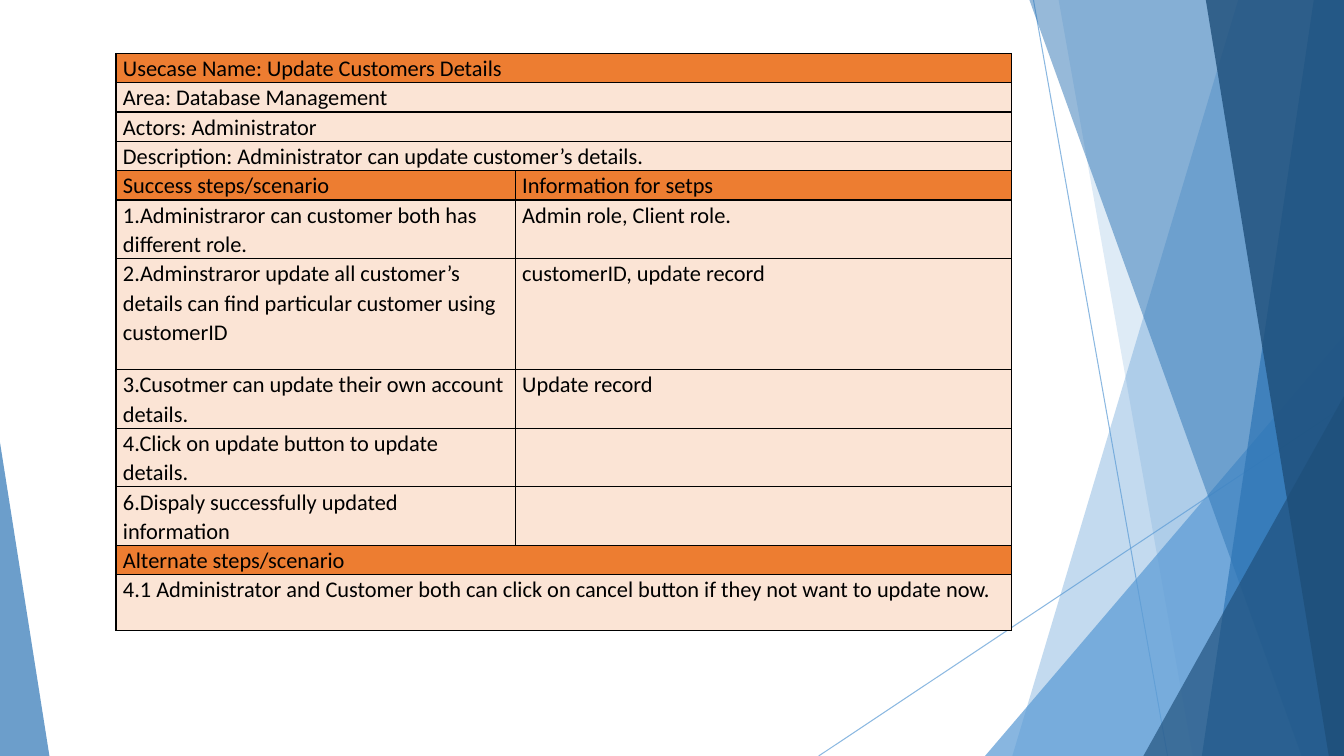
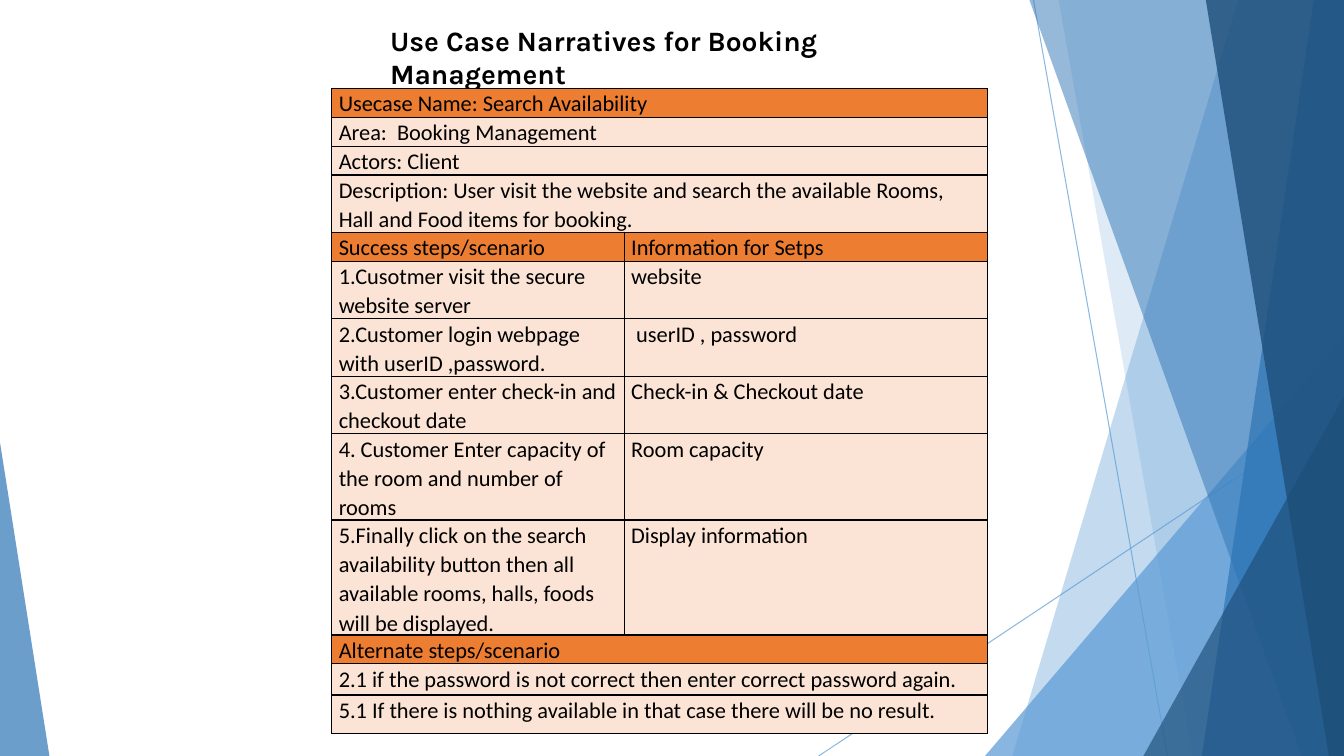
from dataclasses import dataclass

from lxml import etree
from pptx import Presentation
from pptx import util as u
from pptx.dml.color import RGBColor
from pptx.enum import shapes, text
from pptx.oxml.ns import qn

PX = 9144  # EMU; 100 px to the inch


@dataclass(frozen=True)
class Theme:
    sky: str = "5B9BD5"
    blue: str = "2E75B5"
    navy: str = "1E4E79"
    heading: str = "ED7D31"
    body: str = "FBE4D5"
    ink: str = "000000"
    title_font: str = "Karla"
    table_font: str = "Calibri"
    title_size: int = 20
    table_size: int = 16
    line_spacing: float = 1.07
    ray_width: float = 0.75
    border_width: int = 1


@dataclass(frozen=True)
class Box:
    left: int
    top: int
    width: int
    height: int

    @property
    def right(self):
        return self.left + self.width

    @property
    def bottom(self):
        return self.top + self.height

    def emu(self):
        return [px(n) for n in (self.left, self.top, self.width, self.height)]


THEME = Theme()
PAGE = Box(0, 0, 1333, 750)
RIGHT_PANEL = Box(812, 0, 521, 750)
LEFT_CORNER = Box(0, 439, 49, 311)


def px(length):
    return u.Emu(length * PX)


def rgb(color):
    return RGBColor.from_string(color)


def set_opacity(shape, percent):
    for color in shape._element.iter(qn("a:srgbClr")):
        etree.SubElement(color, qn("a:alpha"), val=str(percent * 1000))


def paint(shape, color, opacity):
    shape.shadow.inherit = False
    shape.fill.solid()
    shape.fill.fore_color.rgb = rgb(color)
    shape.line.fill.background()
    set_opacity(shape, opacity)


def add_ray(group, start, end):
    ray = group.shapes.add_connector(shapes.MSO_CONNECTOR.STRAIGHT,
                                     *map(px, start + end))
    ray.line.color.rgb = rgb(THEME.sky)
    ray.line.width = u.Pt(THEME.ray_width)
    set_opacity(ray, 70)
    etree.SubElement(ray._element.spPr, qn("a:effectLst"))


def add_facet(group, box, top_inset, bottom_inset, color, opacity):
    """Fill from a slanted left edge to the right side of the box."""
    builder = group.shapes.build_freeform(box.right - top_inset, box.top, PX)
    builder.add_line_segments([(box.right, box.top), (box.right, box.bottom),
                               (box.right - bottom_inset, box.bottom)])
    paint(builder.convert_to_shape(), color, opacity)


def add_triangle(group, box, apex, color, opacity):
    triangle = group.shapes.add_shape(shapes.MSO_SHAPE.ISOSCELES_TRIANGLE, *box.emu())
    triangle.adjustments[0] = apex
    paint(triangle, color, opacity)


def add_backdrop(page, panel, corner):
    group = page.shapes.add_group_shape()

    def facet(*style):
        add_facet(group, panel, *style)

    def right_triangle(width, height, *style):
        box = Box(panel.right - width, panel.bottom - height, width, height)
        add_triangle(group, box, 1, *style)

    add_ray(group, (panel.right - 308, panel.top), (panel.right - 175, panel.bottom))
    add_ray(group, (panel.right, panel.top + 403), (panel.left, panel.bottom))
    facet(105, 329, THEME.sky, 36)
    facet(283, 150, THEME.sky, 20)
    right_triangle(356, 417, THEME.sky, 72)
    facet(312, 42, THEME.blue, 50)
    facet(30, 141, THEME.blue, 70)
    facet(137, 15, THEME.navy, 80)
    right_triangle(199, 357, THEME.navy, 66)
    add_triangle(group, corner, 0, THEME.blue, 70)


def add_span(para, words, font, size, bold=False):
    span = para.add_run()
    span.text = words
    span.font.name = font
    span.font.size = u.Pt(size)
    span.font.bold = bold
    span.font.color.rgb = rgb(THEME.ink)


def add_title(page, box, words):
    frame = page.shapes.add_textbox(*box.emu()).text_frame
    frame.word_wrap = True
    frame.auto_size = text.MSO_AUTO_SIZE.SHAPE_TO_FIT_TEXT
    add_span(frame.paragraphs[0], words, THEME.title_font, THEME.title_size, True)


def style_cell(cell, color):
    cell.margin_left = cell.margin_right = px(7)
    cell.margin_top = cell.margin_bottom = 0
    properties = cell._tc.get_or_add_tcPr()
    for side in ("lnL", "lnR", "lnT", "lnB"):
        border = etree.SubElement(properties, qn(f"a:{side}"),
                                  w=str(u.Pt(THEME.border_width)))
        fill = etree.SubElement(border, qn("a:solidFill"))
        etree.SubElement(fill, qn("a:srgbClr"), val=THEME.ink)
    cell.fill.solid()
    cell.fill.fore_color.rgb = rgb(color)


def add_use_case(page, left, top, widths, rows):
    """Rows hold a height, a colour and one text, or two for a split row."""
    box = Box(left, top, sum(widths), sum(row[0] for row in rows))
    table = page.shapes.add_table(len(rows), len(widths), *box.emu()).table
    table.first_row = table.horz_banding = False
    for column, width in zip(table.columns, widths):
        column.width = px(width)
    for index, (height, color, *entries) in enumerate(rows):
        table.rows[index].height = px(height)
        cells = [table.cell(index, number) for number in range(len(widths))]
        for cell in cells:
            style_cell(cell, color)
        if len(entries) == 1:
            cells[0].merge(cells[-1])
        for cell, words in zip(cells, entries):
            para = cell.text_frame.paragraphs[0]
            para.line_spacing = THEME.line_spacing
            if words:
                add_span(para, words, THEME.table_font, THEME.table_size)


def add_page(deck):
    page = deck.slides.add_slide(deck.slide_layouts[6])
    add_backdrop(page, RIGHT_PANEL, LEFT_CORNER)
    return page


def add_update_page(deck):
    head, body = THEME.heading, THEME.body
    add_use_case(add_page(deck), 115, 53, (396, 492), [
        (28, head, "Usecase Name: Update Customers Details"),
        (28, body, "Area: Database Management"),
        (28, body, "Actors: Administrator"),
        (28, body, "Description: Administrator can update customer’s details."),
        (28, head, "Success steps/scenario", "Information for setps"),
        (55, body, "1.Administraror can customer both has different role.",
         "Admin role, Client role."),
        (110, body, "2.Adminstraror update all customer’s details can find "
         "particular customer using customerID", "customerID, update record"),
        (55, body, "3.Cusotmer can update their own account details.",
         "Update record"),
        (55, body, "4.Click on update button to update details.", ""),
        (55, body, "6.Dispaly successfully updated information", ""),
        (28, head, "Alternate steps/scenario"),
        (55, body, "4.1 Administrator and Customer both can click on cancel "
         "button if they not want to update now."),
    ])


def add_search_page(deck):
    head, body = THEME.heading, THEME.body
    page = add_page(deck)
    add_title(page, Box(377, 18, 554, 44), "Use Case Narratives for Booking Management")
    add_use_case(page, 329, 88, (290, 360), [
        (28, head, "Usecase Name: Search Availability"),
        (28, body, "Area:  Booking Management"),
        (28, body, "Actors: Client"),
        (57, body, "Description: User visit the website and search the available "
         "Rooms, Hall and Food items for booking."),
        (28, head, "Success steps/scenario", "Information for Setps"),
        (57, body, "1.Cusotmer visit the secure website server", "website"),
        (57, body, "2.Customer login webpage with userID ,password.",
         " userID , password"),
        (57, body, "3.Customer enter check-in and checkout date",
         "Check-in & Checkout date"),
        (85, body, "4. Customer Enter capacity of the room and number of rooms",
         "Room capacity"),
        (114, body, "5.Finally click on the search availability button then all "
         "available rooms, halls, foods will be displayed.", "Display information"),
        (28, head, "Alternate steps/scenario"),
        (31, body, "2.1 if the password is not correct then enter correct "
         "password again."),
        (38, body, "5.1 If there is nothing available in that case there will be "
         "no result."),
    ])


def main():
    deck = Presentation()
    deck.slide_width, deck.slide_height = px(PAGE.width), px(PAGE.height)
    add_update_page(deck)
    add_search_page(deck)
    deck.save("out.pptx")


if __name__ == "__main__":
    main()
